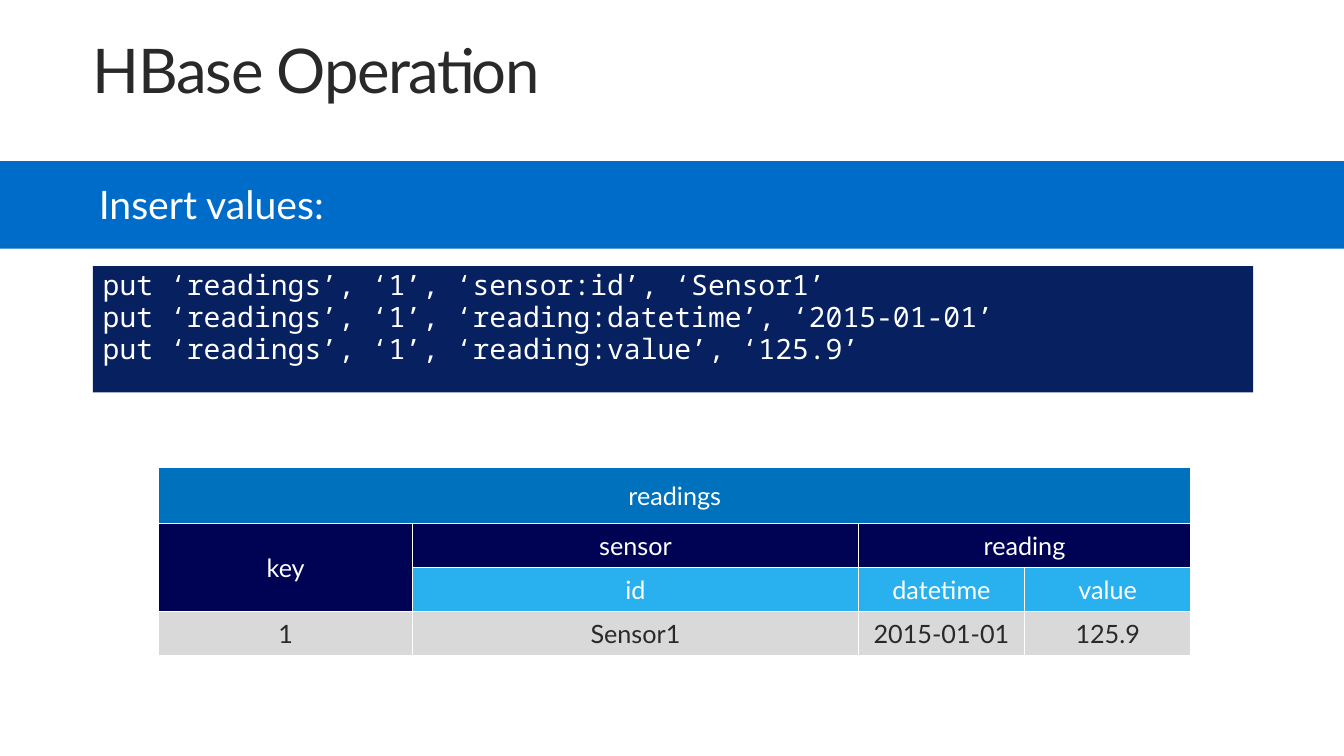
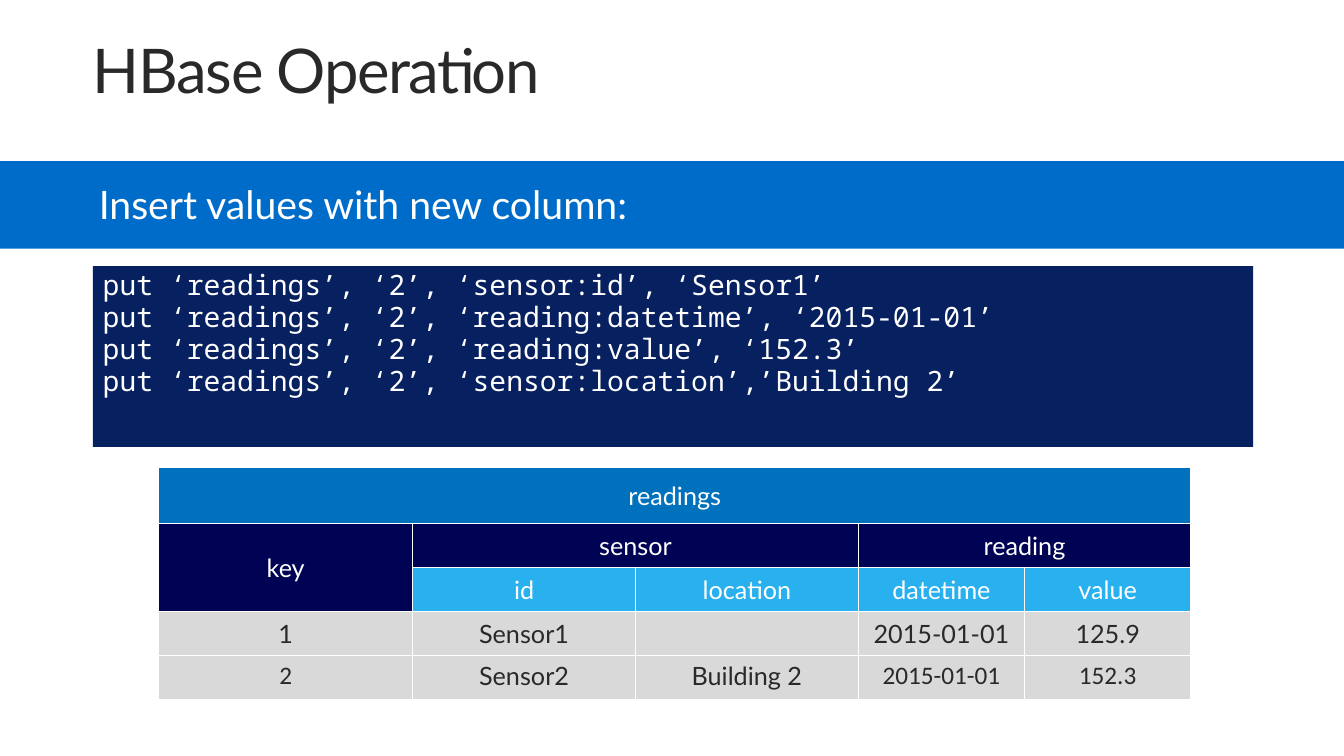
from lxml.etree import SubElement
from pptx import Presentation
from pptx.dml.color import RGBColor
from pptx.enum.shapes import MSO_SHAPE
from pptx.enum.text import MSO_ANCHOR, MSO_AUTO_SIZE, PP_ALIGN
from pptx.oxml.ns import qn
from pptx.util import Cm, Pt

COLORS = {
    "white": "FFFFFF",
    "ink": "292929",
    "band": "006CC9",
    "code": "062060",
    "table_name": "0071BC",
    "family": "000354",
    "column": "28B0EF",
    "data": "D9D9D9",
}
BODY, CODE, PLAIN = "Lato", "Noto Sans Mono", "Calibri"
SLIDE_WIDTH, SLIDE_HEIGHT = 33.87, 19.05
MARGIN = 2.34
BAND_TOP, BAND_HEIGHT = 4.06, 2.21
KEY_WIDTH = 6.4
FAMILY_WIDTHS = {"sensor": 11.23, "reading": 8.38}
NAME_ROW, ROW = 1.4, 1.11


def rgb(name):
    return RGBColor.from_string(COLORS[name])


class Deck:
    """Holds the shared style and the current slide."""

    def __init__(self):
        self.prs = Presentation()
        self.prs.slide_width = Cm(SLIDE_WIDTH)
        self.prs.slide_height = Cm(SLIDE_HEIGHT)
        self.slide = None

    def new_slide(self):
        self.slide = self.prs.slides.add_slide(self.prs.slide_layouts[6])

    def run(self, paragraph, text, size, color="white", font=BODY):
        run = paragraph.add_run()
        run.text = text
        run.font.size = Pt(size)
        run.font.name = font
        run.font.color.rgb = rgb(color)
        return run

    def rectangle(self, left, top, width, height, color):
        rect = self.slide.shapes.add_shape(
            MSO_SHAPE.RECTANGLE, Cm(left), Cm(top), Cm(width), Cm(height))
        rect.shadow.inherit = False
        rect.fill.solid()
        rect.fill.fore_color.rgb = rgb(color)
        rect.line.fill.background()
        return rect

    def text_box(self, left, top, width, height):
        box = self.slide.shapes.add_textbox(
            Cm(left), Cm(top), Cm(width), Cm(height))
        box.text_frame.word_wrap = True
        return box.text_frame

    def title(self, text):
        frame = self.text_box(MARGIN, 1.02, 30.99, 1.73)
        frame.auto_size = MSO_AUTO_SIZE.SHAPE_TO_FIT_TEXT
        frame.margin_left = frame.margin_right = 0
        frame.margin_top = frame.margin_bottom = 0
        frame.paragraphs[0].line_spacing = 0.9
        run = self.run(frame.paragraphs[0], text, 44, "ink")
        run.font._element.set("spc", "-100")

    def band(self, text):
        self.rectangle(0, BAND_TOP, SLIDE_WIDTH, BAND_HEIGHT, "band")
        frame = self.text_box(2.24, BAND_TOP - 0.02, 29.54, BAND_HEIGHT)
        frame.vertical_anchor = MSO_ANCHOR.MIDDLE
        self.run(frame.paragraphs[0], text, 28)

    def code(self, lines, height):
        frame = self.rectangle(MARGIN, 6.71, 29.24, height, "code").text_frame
        frame.word_wrap = True
        frame.vertical_anchor = MSO_ANCHOR.TOP
        for index, line in enumerate(lines):
            paragraph = frame.add_paragraph() if index else frame.paragraphs[0]
            paragraph.alignment = PP_ALIGN.LEFT
            paragraph.line_spacing = 0.9
            if index:
                paragraph.space_before = Pt(1.2)
            self.run(paragraph, line, 20, font=CODE)

    def cell(self, cell, text, fill, color="white", font=BODY,
             anchor=MSO_ANCHOR.MIDDLE):
        cell.vertical_anchor = anchor
        properties = cell._tc.get_or_add_tcPr()
        for side in ("a:lnL", "a:lnR", "a:lnT", "a:lnB"):
            border = SubElement(properties, qn(side), w=str(Pt(1)))
            solid = SubElement(border, qn("a:solidFill"))
            SubElement(solid, qn("a:srgbClr"), val=COLORS["white"])
        cell.fill.solid()
        cell.fill.fore_color.rgb = rgb(fill)
        paragraph = cell.text_frame.paragraphs[0]
        paragraph.alignment = PP_ALIGN.CENTER
        if text:
            self.run(paragraph, text, 18, color, font)

    def hbase_table(self, name, families, records):
        """Draw a table name, its column families, columns and records."""
        columns = [(family, column) for family, names in families.items()
                   for column in names]
        widths = [KEY_WIDTH] + [FAMILY_WIDTHS[family] / len(families[family])
                                for family, _ in columns]
        heights = [NAME_ROW] + [ROW] * (2 + len(records))
        table = self.slide.shapes.add_table(
            len(heights), len(widths), Cm(4), Cm(11.79),
            Cm(sum(widths)), Cm(sum(heights))).table
        table.first_row = table.horz_banding = False
        for column, width in zip(table.columns, widths):
            column.width = Cm(width)
        for row, height in zip(table.rows, heights):
            row.height = Cm(height)

        # Header cells; only the first cell of a merged range has text
        last = len(columns)
        for index in range(last + 1):
            self.cell(table.cell(0, index), "" if index else name, "table_name")
        self.cell(table.cell(1, 0), "key", "family")
        self.cell(table.cell(2, 0), "", "family")
        for index, (family, column) in enumerate(columns, 1):
            first = column == families[family][0]
            self.cell(table.cell(1, index), family if first else "", "family")
            self.cell(table.cell(2, index), column, "column")

        # Merged ranges
        table.cell(0, 0).merge(table.cell(0, last))
        table.cell(1, 0).merge(table.cell(2, 0))
        start = 1
        for names in families.values():
            end = start + len(names) - 1
            if end > start:
                table.cell(1, start).merge(table.cell(1, end))
            start = end + 1

        # Records; each has its values, fonts and vertical anchor
        for row, (values, fonts, anchor) in enumerate(records, 3):
            for index, (value, font) in enumerate(zip(values, fonts)):
                self.cell(table.cell(row, index), value, "data", "ink",
                          font, anchor)

    def operation(self, heading, commands, code_height, families, records):
        self.new_slide()
        self.title("HBase Operation")
        self.band(heading)
        self.hbase_table("readings", families, records)
        self.code(commands, code_height)


def main():
    deck = Deck()
    reading = ["datetime", "value"]

    # Insert values
    deck.operation(
        "Insert values:",
        ["put ‘readings’, ‘1’, ‘sensor:id’, ‘Sensor1’",
         "put ‘readings’, ‘1’, ‘reading:datetime’, ‘2015-01-01’",
         "put ‘readings’, ‘1’, ‘reading:value’, ‘125.9’"],
        3.18,
        {"sensor": ["id"], "reading": reading},
        [(["1", "Sensor1", "2015-01-01", "125.9"], [BODY] * 4,
          MSO_ANCHOR.MIDDLE)])

    # Insert values with a new column
    deck.operation(
        "Insert values with new column:",
        ["put ‘readings’, ‘2’, ‘sensor:id’, ‘Sensor1’",
         "put ‘readings’, ‘2’, ‘reading:datetime’, ‘2015-01-01’",
         "put ‘readings’, ‘2’, ‘reading:value’, ‘152.3’",
         "put ‘readings’, ‘2’, ‘sensor:location’,’Building 2’"],
        4.55,
        {"sensor": ["id", "location"], "reading": reading},
        [(["1", "Sensor1", "", "2015-01-01", "125.9"], [BODY] * 5,
          MSO_ANCHOR.MIDDLE),
         (["2", "Sensor2", "Building 2", "2015-01-01", "152.3"],
          [PLAIN, BODY, BODY, PLAIN, PLAIN], MSO_ANCHOR.TOP)])

    deck.prs.save("out.pptx")


if __name__ == "__main__":
    main()
